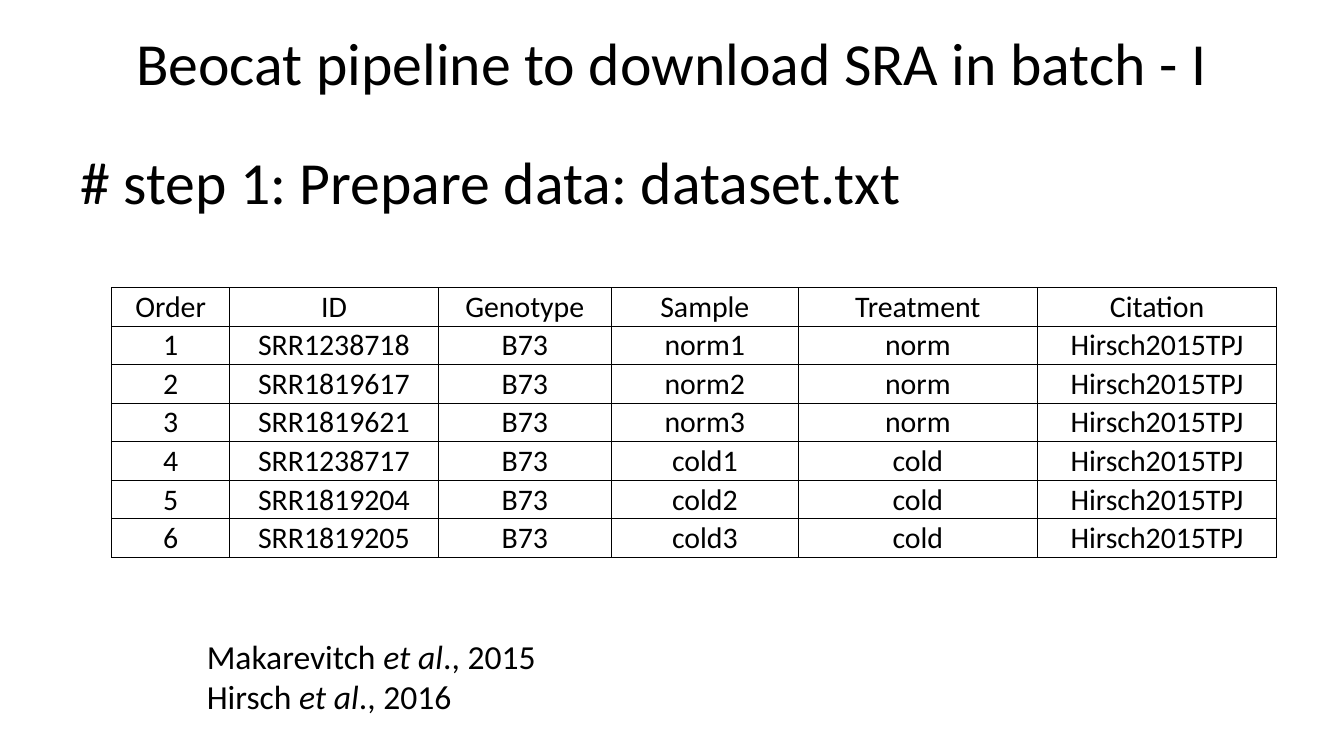
from dataclasses import dataclass

from lxml.etree import SubElement
from pptx import Presentation
from pptx.dml.color import RGBColor
from pptx.enum.text import MSO_ANCHOR, MSO_AUTO_SIZE, PP_ALIGN
from pptx.oxml.ns import qn
from pptx.util import Inches, Pt


@dataclass(frozen=True)
class Theme:
    font: str = "Calibri"
    ink: str = "000000"
    heading_size: int = 32
    table_size: int = 16
    reference_size: int = 18
    border_width: float = 0.5


@dataclass(frozen=True)
class Area:
    left: float
    top: float
    width: float
    height: float

    def lengths(self) -> tuple:
        return tuple(Inches(n) for n in (self.left, self.top, self.width, self.height))


@dataclass(frozen=True)
class Sample:
    run_id: str
    name: str
    treatment: str
    genotype: str = "B73"
    citation: str = "Hirsch2015TPJ"


@dataclass(frozen=True)
class Reference:
    author: str
    year: int


THEME = Theme()
HEADERS = ("Order", "ID", "Genotype", "Sample", "Treatment", "Citation")
COLUMN_WIDTHS = (0.88, 1.55, 1.29, 1.39, 1.78, 1.78)
ROW_HEIGHT = 0.26
CELL_MARGIN = 0.01
SAMPLES = (
    Sample("SRR1238718", "norm1", "norm"),
    Sample("SRR1819617", "norm2", "norm"),
    Sample("SRR1819621", "norm3", "norm"),
    Sample("SRR1238717", "cold1", "cold"),
    Sample("SRR1819204", "cold2", "cold"),
    Sample("SRR1819205", "cold3", "cold"),
)
REFERENCES = (Reference("Makarevitch", 2015), Reference("Hirsch", 2016))


def style_span(span, size: int, italic: bool = False) -> None:
    span.font.name = THEME.font
    span.font.size = Pt(size)
    span.font.color.rgb = RGBColor.from_string(THEME.ink)
    span.font.italic = italic


def write_line(text_frame, text: str, size: int, alignment: PP_ALIGN) -> None:
    text_frame.text = text
    para = text_frame.paragraphs[0]
    para.alignment = alignment
    style_span(para.runs[0], size)


def add_title(page, text: str, area: Area) -> None:
    title = page.shapes.title
    title.left, title.top, title.width, title.height = area.lengths()
    title.text_frame.vertical_anchor = MSO_ANCHOR.MIDDLE
    write_line(title.text_frame, text, THEME.heading_size, PP_ALIGN.CENTER)


def add_step(page, text: str, area: Area) -> None:
    box = page.shapes.add_textbox(*area.lengths())
    box.text_frame.word_wrap = True
    write_line(box.text_frame, text, THEME.heading_size, PP_ALIGN.LEFT)


def add_borders(cell) -> None:
    """Line all four sides; the lines must precede the fill in the cell properties."""
    properties = cell._tc.get_or_add_tcPr()
    for side in ("lnL", "lnR", "lnT", "lnB"):
        line = SubElement(properties, qn(f"a:{side}"), w=str(Pt(THEME.border_width)))
        fill = SubElement(line, qn("a:solidFill"))
        SubElement(fill, qn("a:srgbClr"), val=THEME.ink)


def format_cell(cell, text: str) -> None:
    cell.margin_left = cell.margin_right = Inches(CELL_MARGIN)
    cell.margin_top = cell.margin_bottom = Inches(CELL_MARGIN)
    cell.vertical_anchor = MSO_ANCHOR.MIDDLE
    write_line(cell.text_frame, text, THEME.table_size, PP_ALIGN.CENTER)
    add_borders(cell)
    cell.fill.background()


def add_sample_table(page, area: Area) -> None:
    records = [HEADERS] + [
        (str(order), s.run_id, s.genotype, s.name, s.treatment, s.citation)
        for order, s in enumerate(SAMPLES, start=1)
    ]
    frame = page.shapes.add_table(len(records), len(HEADERS), *area.lengths())
    table = frame.table
    table.first_row = table.horz_banding = False
    for column, width in zip(table.columns, COLUMN_WIDTHS):
        column.width = Inches(width)
    for row, record in zip(table.rows, records):
        row.height = Inches(ROW_HEIGHT)
        for cell, text in zip(row.cells, record):
            format_cell(cell, text)
    frame.height = Inches(area.height)


def add_references(page, area: Area) -> None:
    box = page.shapes.add_textbox(*area.lengths())
    text_frame = box.text_frame
    text_frame.word_wrap = False
    text_frame.auto_size = MSO_AUTO_SIZE.SHAPE_TO_FIT_TEXT
    for index, reference in enumerate(REFERENCES):
        para = text_frame.add_paragraph() if index else text_frame.paragraphs[0]
        for text in (f"{reference.author} ", "et al", f"., {reference.year}"):
            span = para.add_run()
            span.text = text
            style_span(span, THEME.reference_size, italic=text == "et al")


def main() -> None:
    deck = Presentation()
    deck.slide_width = Inches(10)
    deck.slide_height = deck.slide_width * 9 // 16
    page = deck.slides.add_slide(deck.slide_layouts.get_by_name("Title Only"))
    add_title(page, "Beocat pipeline to download SRA in batch - I", Area(0.5, 0.08, 9, 0.76))
    add_step(page, "# step 1: Prepare data: dataset.txt", Area(0.5, 1.03, 9, 0.76))
    add_sample_table(page, Area(0.83, 2.14, sum(COLUMN_WIDTHS), 1.96))
    add_references(page, Area(1.44, 4.68, 2.68, 0.71))
    deck.save("out.pptx")


if __name__ == "__main__":
    main()
